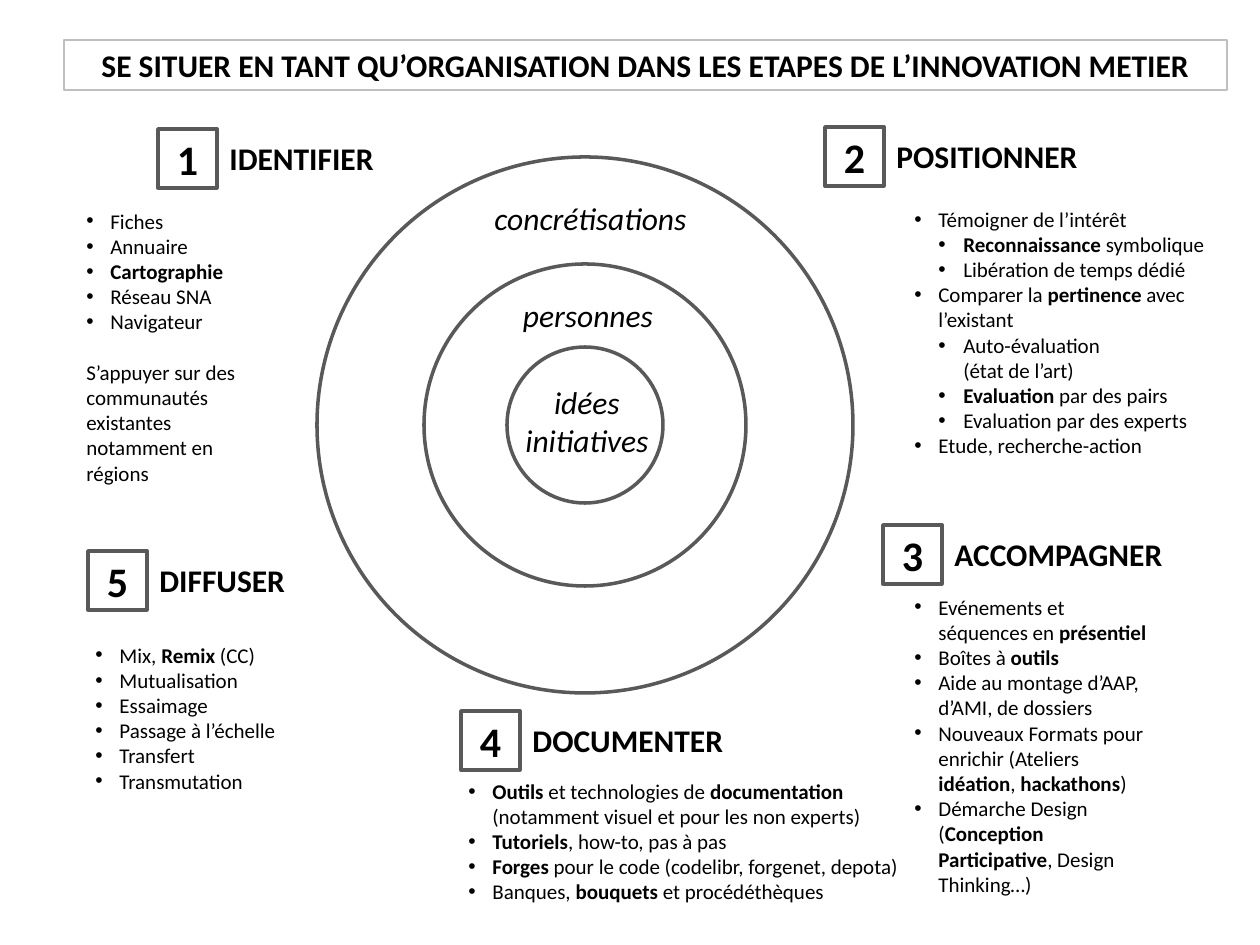
from lxml import etree
from pptx import Presentation
from pptx import util as u
from pptx.dml import color
from pptx.enum import shapes, text
from pptx.oxml import ns

PX = 914400 / 126
BLACK, WHITE, GREY, PALE = "000000", "FFFFFF", "595959", "BFBFBF"
BADGE = 59
INDENTS = ((24, 24), (49, 25))

TITLE = "SE SITUER EN TANT QU’ORGANISATION DANS LES ETAPES DE L’INNOVATION METIER"
RINGS = (
    (268, "concrétisations", (-104, -232, 219, 50)),
    (161, "personnes", (-76, -135, 158, 50)),
    (78, "idées\ninitiatives", (-73, -48, 150, 89)),
)
SECTIONS = (
    ((74, 202, 228, 292), (84, -73), "IDENTIFIER", 171, (
        (0, "Fiches"),
        (0, "Annuaire"),
        (0, "*Cartographie*"),
        (0, "Réseau SNA"),
        (0, "Navigateur"),
        (None, "S’appuyer sur des communautés existantes"),
        (None, "notamment en"),
        (None, "régions"))),
    ((902, 200, 326, 267), (-77, -73), "POSITIONNER", 310, (
        (0, "Témoigner de l’intérêt"),
        (1, "*Reconnaissance* symbolique"),
        (1, "Libération de temps dédié"),
        (0, "Comparer la *pertinence* avec l’existant"),
        (1, "Auto-évaluation \v(état de l’art)"),
        (1, "*Evaluation* par des pairs"),
        (1, "Evaluation par des experts"),
        (0, "Etude, recherche-action"))),
    ((902, 588, 258, 318), (-19, -63), "ACCOMPAGNER", 236, (
        (0, "Evénements et séquences en *présentiel*"),
        (0, "Boîtes à *outils*"),
        (0, "Aide au montage d’AAP, d’AMI, de dossiers"),
        (0, "Nouveaux Formats pour enrichir (Ateliers *idéation*, *hackathons*)"),
        (0, "Démarche Design (*Conception Participative*, Design Thinking…)"))),
    ((456, 772, 457, 140), (5, -61), "DOCUMENTER", 218, (
        (0, "*Outils* et technologies de *documentation* "
            "(notamment visuel et pour les non experts)"),
        (0, "*Tutoriels*, how-to, pas à pas"),
        (0, "*Forges* pour le code (codelibr, forgenet, depota)"),
        (0, "Banques, *bouquets* et procédéthèques"))),
    ((83, 636, 258, 165), (5, -85), "DIFFUSER", 152, (
        (0, "Mix, *Remix* (CC)"),
        (0, "Mutualisation"),
        (0, "Essaimage"),
        (0, "Passage à l’échelle"),
        (0, "Transfert"),
        (0, "Transmutation"))),
)


def px(length):
    return u.Emu(round(length * PX))


def paint(target, value):
    target.rgb = color.RGBColor.from_string(value)


def style(frame, size, bold=None, italic=None, align=text.PP_ALIGN.LEFT):
    for para in frame.paragraphs:
        para.alignment = align
        for span in para.runs:
            span.font.name = "Calibri"
            span.font.size = u.Pt(size)
            paint(span.font.color, BLACK)
            if bold is not None:
                span.font.bold = bold
            span.font.italic = italic


def outline(page, kind, box, fill, line, width):
    shape = page.shapes.add_shape(kind, *map(px, box))
    shape.shadow.inherit = False
    if fill:
        shape.fill.solid()
        paint(shape.fill.fore_color, fill)
    else:
        shape.fill.background()
    paint(shape.line.color, line)
    shape.line.width = u.Pt(width)
    return shape.text_frame


def label(page, box, words, wrap=False, **looks):
    frame = page.shapes.add_textbox(*map(px, box)).text_frame
    frame.word_wrap = wrap
    frame.text = words
    style(frame, 18, **looks)


def bullet(para, level):
    margin, hang = INDENTS[level]
    para.level = level
    props = para._p.get_or_add_pPr()
    props.set("marL", str(px(margin)))
    props.set("indent", str(-px(hang)))
    etree.SubElement(props, ns.qn("a:buFont")).set("typeface", "Arial")
    etree.SubElement(props, ns.qn("a:buChar")).set("char", "•")


def write_pieces(para, words):
    pieces = words.split("*")
    para.text = pieces[0]
    for index, piece in enumerate(pieces[1:], 1):
        if piece:
            span = para.add_run()
            span.text = piece
            span.font.bold = index % 2 == 1


def item_list(page, box, items):
    frame = page.shapes.add_textbox(*map(px, box)).text_frame
    frame.word_wrap = True
    previous = None
    for index, (level, words) in enumerate(items):
        para = frame.add_paragraph() if index else frame.paragraphs[0]
        write_pieces(para, words)
        if level is not None:
            bullet(para, level)
        elif previous is not None:
            para.space_before = u.Pt(14.4)
        previous = level
    style(frame, 12)


def heading(page, box):
    frame = outline(page, shapes.MSO_SHAPE.RECTANGLE, box, None, PALE, 0.75)
    frame.text = TITLE
    style(frame, 18, bold=True, align=text.PP_ALIGN.CENTER)


def rings(page, center):
    x, y = center
    for radius, _, _ in RINGS:
        box = (x - radius, y - radius, 2 * radius, 2 * radius)
        outline(page, shapes.MSO_SHAPE.OVAL, box, WHITE, GREY, 2)
    for _, words, (left, top, width, height) in RINGS:
        label(page, (x + left, y + top, width, height), words,
              italic=True, align=text.PP_ALIGN.CENTER)


def section(page, box, shift, number, name, name_width, items):
    left, top = box[0] + shift[0], box[1] + shift[1]
    frame = outline(page, shapes.MSO_SHAPE.RECTANGLE,
                    (left, top, BADGE, BADGE), WHITE, GREY, 2)
    frame.vertical_anchor = text.MSO_ANCHOR.MIDDLE
    frame.text = str(number)
    style(frame, 24, bold=True, align=text.PP_ALIGN.CENTER)
    label(page, (left + BADGE, top + 4, name_width, 50), name, bold=True)
    item_list(page, box, items)


def main():
    deck = Presentation()
    deck.slide_width, deck.slide_height = px(1260), px(945)
    page = deck.slides.add_slide(deck.slide_layouts[6])
    rings(page, (585, 425))
    for number, (box, shift, name, width, items) in enumerate(SECTIONS, 1):
        section(page, box, shift, number, name, width, items)
    heading(page, (64, 40, 1163, 50))
    deck.save("out.pptx")


if __name__ == "__main__":
    main()
